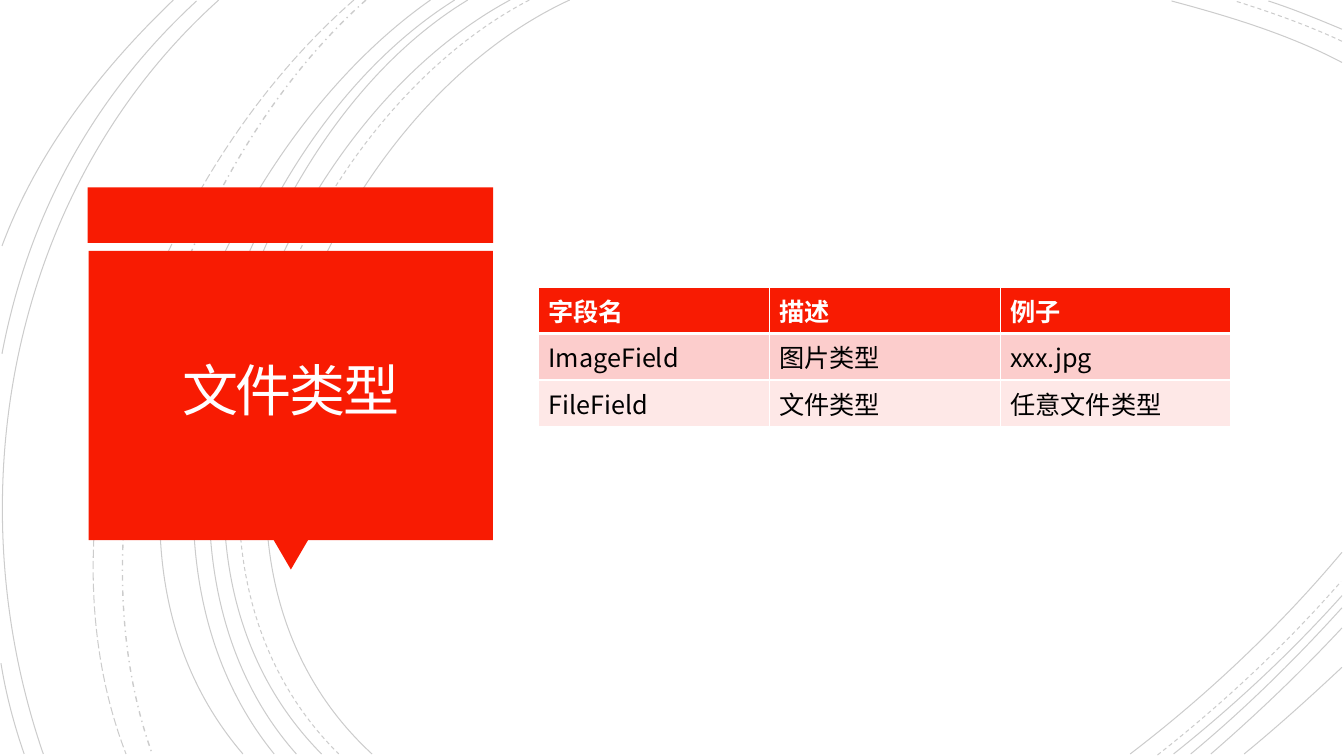
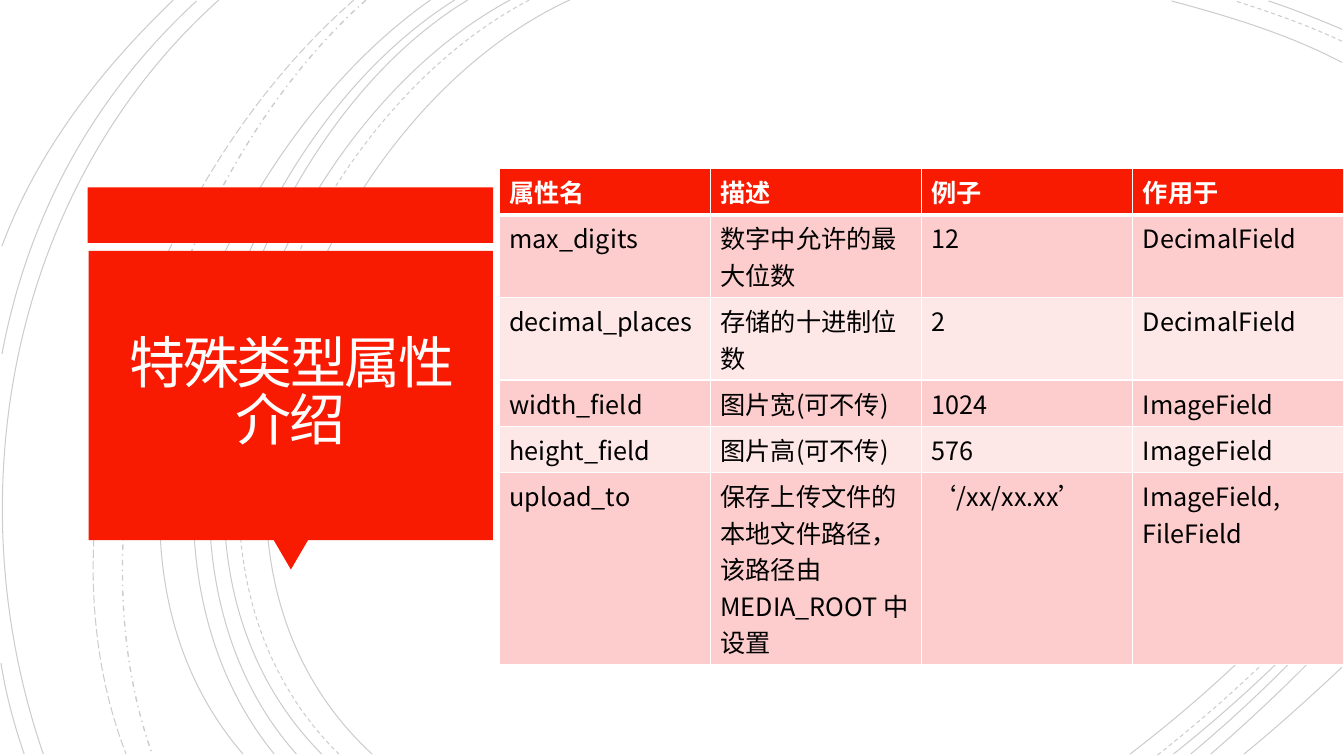
import pptx
import pptx.dml.color
import pptx.enum.dml
import pptx.enum.shapes
import pptx.enum.text
import pptx.oxml.ns
import pptx.util
from lxml import etree

Inches = pptx.util.Inches
Pt = pptx.util.Pt
RGBColor = pptx.dml.color.RGBColor
Dash = pptx.enum.dml.MSO_LINE
Shape = pptx.enum.shapes.MSO_SHAPE
qn = pptx.oxml.ns.qn

# Shared style
RED = RGBColor(0xF8, 0x1B, 0x02)
BLACK = RGBColor(0, 0, 0)
WHITE = RGBColor(0xFF, 0xFF, 0xFF)
TITLE_WHITE = RGBColor(0xFF, 0xFE, 0xFF)
BAND_COLORS = (RGBColor(0xFC, 0xCD, 0xCC), RGBColor(0xFE, 0xE8, 0xE7))
SANS = "Noto Sans CJK SC"
SERIF = "TeX Gyre Bonum"
ARC_OPACITY = 20000
CELL_PADDING = 0.1
LINE_HEIGHT = 0.36

# Background arcs: start, two control points, end (inches), grouped by dash
ARCS = {
    Dash.SOLID: [
        ((5.65, 0), (3.15, 1.15), (1.43, 5.4), (3.69, 7.48)),
        ((13.31, 0.62), (12.78, 0.34), (12.18, 0.16), (11.62, 0.01)),
        ((11.21, 7.48), (11.97, 6.9), (12.69, 6.22), (13.31, 5.48)),
        ((5.06, 0), (2.7, 1.27), (1.1, 5.37), (3.19, 7.48)),
        ((13.31, 0.29), (13.07, 0.19), (12.83, 0.09), (12.58, 0.01)),
        ((11.64, 7.48), (12.23, 7.01), (12.8, 6.48), (13.31, 5.91)),
        ((4.64, 0), (2.44, 1.33), (1.1, 5.41), (2.94, 7.48)),
        ((11.81, 7.48), (12.34, 7.04), (12.84, 6.55), (13.31, 6.03)),
        ((4.51, 0), (2.31, 1.38), (0.97, 5.33), (2.72, 7.48)),
        ((12.01, 7.48), (12.46, 7.09), (12.9, 6.67), (13.31, 6.23)),
        ((4.27, 0), (2.17, 1.47), (0.53, 5.29), (2.41, 7.48)),
        ((12.34, 7.48), (12.67, 7.21), (12.99, 6.92), (13.31, 6.62)),
        ((2.17, 0), (0.11, 1.85), (-0.46, 4.9), (0.43, 7.48)),
        ((1.95, 0.01), (0.92, 0.96), (0.28, 2.14), (0.02, 3.51)),
        ((0.01, 6.58), (0.06, 6.89), (0.14, 7.19), (0.24, 7.48)),
        ((1.72, 0), (1, 0.69), (0.37, 1.5), (0.02, 2.44)),
    ],
    Dash.DASH: [
        ((5.25, 0), (2.85, 1.25), (1.23, 5.37), (3.36, 7.48)),
        ((13.31, 0.41), (12.97, 0.25), (12.6, 0.12), (12.25, 0.01)),
        ((11.48, 7.49), (12.13, 6.98), (12.75, 6.4), (13.3, 5.77)),
    ],
    Dash.DASH_DOT: [((3.63, 0), (1.76, 1.66), (0.65, 5.09), (1.51, 7.48))],
    Dash.LONG_DASH: [((3.51, 0), (1.57, 1.69), (0.29, 4.99), (1.25, 7.48))],
}


class Painter:
    def __init__(self, deck):
        self.deck = deck
        self.page = None

    def new_page(self, title):
        self.page = self.deck.slides.add_slide(self.deck.slide_layouts[6])
        for dash, curves in ARCS.items():
            for curve in curves:
                self.arc(curve, dash)
        self.block(Shape.RECTANGLE, 0.87, 1.86, 4.02, 0.55)
        self.block(Shape.ISOSCELES_TRIANGLE, 2.71, 5.35, 0.35, 0.3, rotation=180)
        self.block(Shape.RECTANGLE, 0.88, 2.49, 4.01, 2.87)
        self.title(title)

    def arc(self, curve, dash):
        points = [(Inches(x), Inches(y)) for x, y in curve]
        builder = self.page.shapes.build_freeform(*points[0])
        builder.add_line_segments(points[1:], close=False)
        shape = builder.convert_to_shape()
        # Turn the three straight segments into one cubic curve
        segments = shape._element.xpath(".//a:lnTo")
        bezier = etree.SubElement(segments[0].getparent(), qn("a:cubicBezTo"))
        for segment in segments:
            bezier.append(segment[0])
            segment.getparent().remove(segment)
        shape.shadow.inherit = False
        shape.fill.background()
        shape.line.color.rgb = BLACK
        shape.line.width = Pt(1 if dash == Dash.DASH_DOT else 0.75)
        shape.line.dash_style = dash
        color = shape._element.xpath(".//a:ln//a:srgbClr")[0]
        etree.SubElement(color, qn("a:alpha"), val=str(ARC_OPACITY))

    def block(self, kind, left, top, width, height, rotation=0):
        shape = self.page.shapes.add_shape(
            kind, Inches(left), Inches(top), Inches(width), Inches(height))
        shape.rotation = rotation
        shape.shadow.inherit = False
        shape.fill.solid()
        shape.fill.fore_color.rgb = RED
        shape.line.fill.background()

    def style_span(self, span, size, color, latin=SANS, bold=False):
        span.font.size = Pt(size)
        span.font.bold = bold
        span.font.color.rgb = color
        span.font.name = latin
        etree.SubElement(span._r.get_or_add_rPr(), qn("a:ea"), typeface=SANS)

    def title(self, text):
        box = self.page.shapes.add_textbox(
            Inches(0.97), Inches(2.57), Inches(3.83), Inches(2.69))
        frame = box.text_frame
        frame.word_wrap = True
        frame.vertical_anchor = pptx.enum.text.MSO_ANCHOR.MIDDLE
        frame.margin_left = frame.margin_right = Inches(0.25)
        frame.margin_top = frame.margin_bottom = Inches(0.25)
        frame.text = text
        para = frame.paragraphs[0]
        para.alignment = pptx.enum.text.PP_ALIGN.CENTER
        para.line_spacing = 0.85
        span = para.runs[0]
        self.style_span(span, 40, TITLE_WHITE)
        span._r.get_or_add_rPr().set("spc", "-150")

    def cell_borders(self, cell, row):
        # The rule under the header row is thicker than the rest
        widths = {"lnL": 1, "lnR": 1, "lnT": 3 if row == 1 else 1,
                  "lnB": 3 if row == 0 else 1}
        properties = cell._tc.get_or_add_tcPr()
        for side, width in widths.items():
            line = etree.SubElement(properties, qn("a:" + side), w=str(Pt(width)))
            fill = etree.SubElement(line, qn("a:solidFill"))
            etree.SubElement(fill, qn("a:srgbClr"), val=str(WHITE))

    def table(self, left, top, width, rows, line_counts, header_font=SANS):
        heights = [Inches(CELL_PADDING + LINE_HEIGHT * count) for count in line_counts]
        table = self.page.shapes.add_table(
            len(rows), len(rows[0]), Inches(left), Inches(top),
            Inches(width), sum(heights)).table
        for row, texts in enumerate(rows):
            table.rows[row].height = heights[row]
            header = row == 0
            for column, text in enumerate(texts):
                cell = table.cell(row, column)
                self.cell_borders(cell, row)
                cell.fill.solid()
                cell.fill.fore_color.rgb = RED if header else BAND_COLORS[(row - 1) % 2]
                cell.text_frame.text = text
                self.style_span(cell.text_frame.paragraphs[0].runs[0], 18,
                                WHITE if header else BLACK,
                                header_font if header else SANS, header)


deck = pptx.Presentation()
deck.slide_width = Inches(13.33)
deck.slide_height = Inches(7.5)
painter = Painter(deck)

# File field types
painter.new_page("文件类型")
painter.table(5.34, 2.85, 6.87, [
    ("字段名", "描述", "例子"),
    ("ImageField", "图片类型", "xxx.jpg"),
    ("FileField", "文件类型", "任意文件类型"),
], line_counts=(1, 1, 1))

# Attributes of special types
painter.new_page("特殊类型属性介绍")
painter.table(4.95, 1.67, 8.38, [
    ("属性名", "描述", "例子", "作用于"),
    ("max_digits", "数字中允许的最大位数", "12", "DecimalField"),
    ("decimal_places", "存储的十进制位数", "2", "DecimalField"),
    ("width_field", "图片宽(可不传)", "1024", "ImageField"),
    ("height_field", "图片高(可不传)", "576", "ImageField"),
    ("upload_to", "保存上传文件的本地文件路径，该路径由 MEDIA_ROOT 中设置",
     "‘/xx/xx.xx’", "ImageField, FileField"),
], line_counts=(1, 2, 2, 1, 1, 5), header_font=SERIF)

deck.save("out.pptx")
